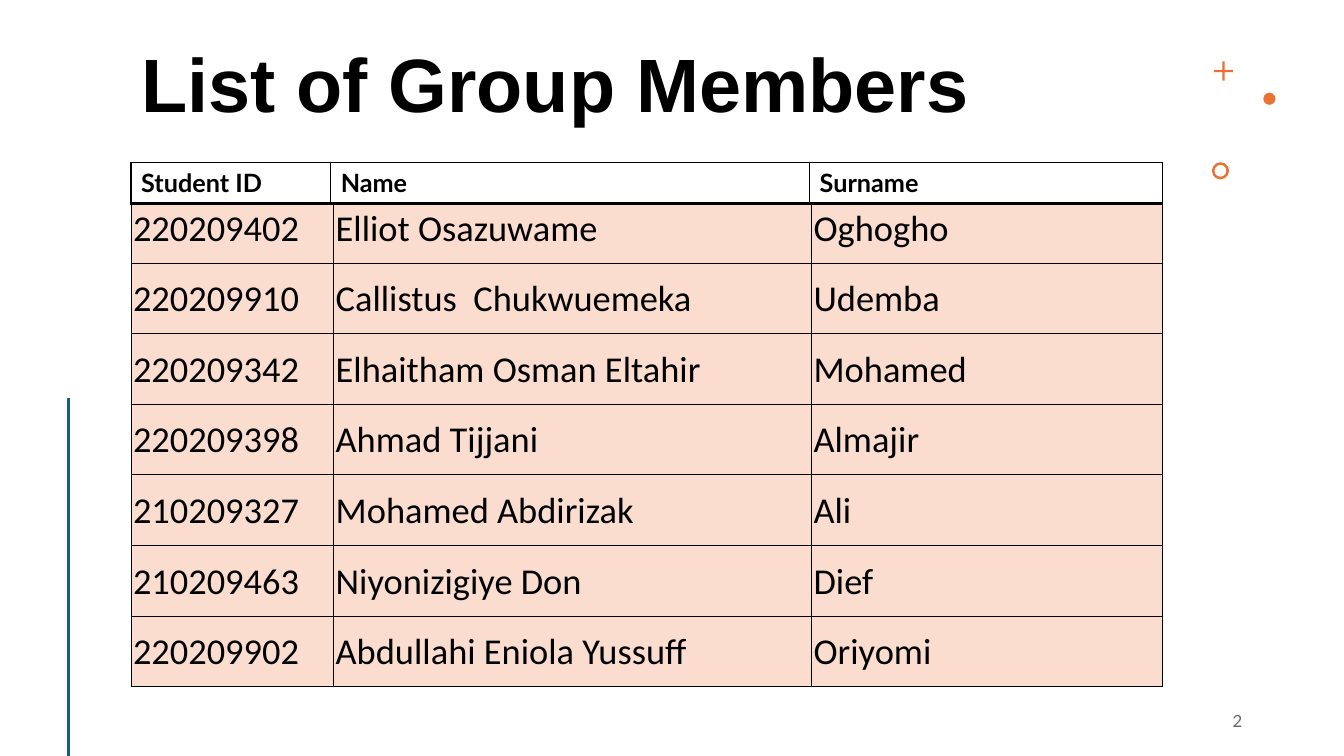
from dataclasses import dataclass

from lxml.etree import SubElement
from pptx import Presentation
from pptx.dml.color import RGBColor
from pptx.enum.shapes import MSO_CONNECTOR, MSO_SHAPE
from pptx.enum.text import MSO_ANCHOR, MSO_AUTO_SIZE, PP_ALIGN
from pptx.oxml.ns import qn
from pptx.util import Emu, Pt


def px(num):
    return Emu(num * 9144)


@dataclass(frozen=True)
class Theme:
    ink: str = "000000"
    gray: str = "666666"
    blue: str = "156082"
    orange: str = "E97132"
    peach: str = "FADDCE"
    title: int = 54
    body: int = 26
    head: int = 18
    small: int = 12


class Page:
    def __init__(self, deck, theme):
        self.theme = theme
        self.slide = deck.slides.add_slide(deck.slide_layouts[5])
        self.shapes = self.slide.shapes

    def style(self, para, face, size, color, bold=False):
        font = para.font
        font.name, font.size, font.bold = face, Pt(size), bold
        font.color.rgb = RGBColor.from_string(color)

    def title(self, text, left, top, width, height):
        shape = self.shapes.title
        shape.left, shape.top = px(left), px(top)
        shape.width, shape.height = px(width), px(height)
        frame = shape.text_frame
        frame.text = text
        frame.word_wrap = True
        frame.auto_size = MSO_AUTO_SIZE.NONE
        frame.vertical_anchor = MSO_ANCHOR.TOP
        para = frame.paragraphs[0]
        para.alignment = PP_ALIGN.LEFT
        para.line_spacing = 0.9
        self.style(para, "Arial", self.theme.title, self.theme.ink, True)

    def number(self, text, left, top, width, height):
        box = self.shapes.add_textbox(px(left), px(top), px(width), px(height))
        frame = box.text_frame
        frame.text = text
        frame.word_wrap = True
        frame.vertical_anchor = MSO_ANCHOR.MIDDLE
        para = frame.paragraphs[0]
        para.alignment = PP_ALIGN.RIGHT
        para.space_after = Pt(6)
        self.style(para, "Lato", self.theme.small, self.theme.gray)

    def mark(self, kind, left, top, size, adjust=None):
        shape = self.shapes.add_shape(kind, px(left), px(top), px(size), px(size))
        shape.shadow.inherit = False
        shape.fill.solid()
        shape.fill.fore_color.rgb = RGBColor.from_string(self.theme.orange)
        shape.line.fill.background()
        if adjust is not None:
            shape.adjustments[0] = adjust

    def line(self, left, top, bottom):
        rule = self.shapes.add_connector(
            MSO_CONNECTOR.STRAIGHT, px(left), px(top), px(left), px(bottom))
        rule.line.color.rgb = RGBColor.from_string(self.theme.blue)
        rule.line.width = Pt(2)
        SubElement(rule._element.spPr, qn("a:effectLst"))

    def border(self, cell, widths):
        props = cell._tc.get_or_add_tcPr()
        for side, width in zip("LRTB", widths):
            edge = SubElement(props, qn(f"a:ln{side}"), w=str(Pt(width)))
            fill = SubElement(edge, qn("a:solidFill"))
            SubElement(fill, qn("a:srgbClr"), val=self.theme.ink)

    def table(self, rows, left, top, widths, heights, dress):
        frame = self.shapes.add_table(
            len(rows), len(widths), px(left), px(top),
            px(sum(widths)), px(sum(heights)))
        table = frame.table
        table.first_row = table.horz_banding = False
        for col, width in zip(table.columns, widths):
            col.width = px(width)
        for row, height, texts in zip(table.rows, heights, rows):
            row.height = px(height)
            for cell, text in zip(row.cells, texts):
                cell.text = text
                dress(cell)

    def head(self, cell):
        self.border(cell, (1, 1, 1, 2))
        cell.fill.background()
        para = cell.text_frame.paragraphs[0]
        self.style(para, "Lato", self.theme.head, self.theme.ink, True)

    def body(self, cell):
        self.border(cell, (0.5,) * 4)
        cell.fill.solid()
        cell.fill.fore_color.rgb = RGBColor.from_string(self.theme.peach)
        cell.vertical_anchor = MSO_ANCHOR.BOTTOM
        cell.margin_left = cell.margin_right = cell.margin_top = px(2)
        cell.margin_bottom = px(12)
        para = cell.text_frame.paragraphs[0]
        self.style(para, "Calibri", self.theme.body, self.theme.ink)


MEMBERS = [
    ("220209402", "Elliot Osazuwame", "Oghogho"),
    ("220209910", "Callistus  Chukwuemeka", "Udemba"),
    ("220209342", "Elhaitham Osman Eltahir", "Mohamed"),
    ("220209398", "Ahmad Tijjani", "Almajir"),
    ("210209327", "Mohamed Abdirizak", "Ali"),
    ("210209463", "Niyonizigiye Don", "Dief"),
    ("220209902", "Abdullahi Eniola Yussuff", "Oriyomi"),
]


def main():
    deck = Presentation()
    deck.slide_width, deck.slide_height = px(1333), px(750)
    page = Page(deck, Theme())
    page.title("List of Group Members", 130, 42, 1023, 107)
    page.mark(MSO_SHAPE.CROSS, 1204, 61, 19, 0.44)
    page.mark(MSO_SHAPE.OVAL, 1253, 92, 12)
    page.mark(MSO_SHAPE.DONUT, 1202, 161, 17, 0.15)
    page.line(68, 395, 750)
    page.number("2", 942, 695, 300, 40)
    page.table(MEMBERS, 130, 202, (201, 474, 348),
               [59] + [70] * (len(MEMBERS) - 1), page.body)
    page.table([("Student ID", "Name", "Surname")], 130, 161,
               (198, 475, 350), [41], page.head)
    deck.save("out.pptx")


if __name__ == "__main__":
    main()
